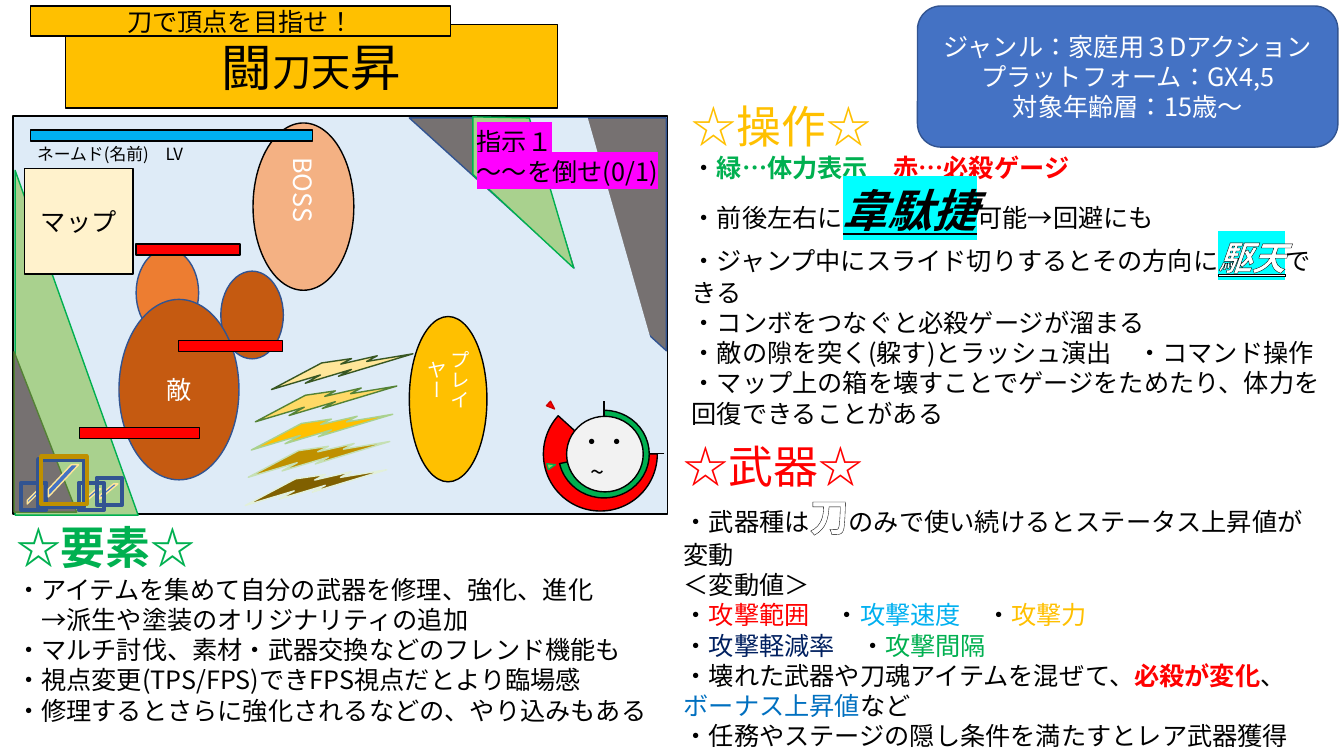
from lxml import etree
from pptx import Presentation
from pptx.dml.color import RGBColor as RGB
from pptx.enum.lang import MSO_LANGUAGE_ID as LANG
from pptx.enum.shapes import MSO_CONNECTOR as CONN, MSO_SHAPE as MS
from pptx.enum.text import MSO_ANCHOR as ANCHOR, MSO_AUTO_SIZE as AUTO, PP_ALIGN as ALIGN
from pptx.oxml.ns import qn
from pptx.util import Inches, Pt

C = dict(
    white="FFFFFF", black="000000", blue="4472C4", navy="325491", sky="DEEBF7",
    leaf="A9D18E", green="00B050", moss="548235", gray="767171", gold="FFC000",
    red="FF0000", darkred="CC0000", pale="F2F2F2", peach="F4B183", cyan="00B0F0",
    rust="C55A11", orange="ED7D31", lime="92D050", cream="FFF2CC", straw="FFE699",
    amber="FFD966", bronze="BF9000", umber="806000", pine="385723", mint="C5E0B4",
    fog="E2F0D9", deep="002060", azure="0070C0", aqua="00FFFF", magenta="FF00FF",
)
U = Inches(0.01)
SANS, HEAD = "Noto Sans CJK JP", "Roboto"

prs = Presentation()
prs.slide_width, prs.slide_height = 1333 * U, 750 * U
s = prs.slides.add_slide(prs.slide_layouts[4])


def write(tf, paras, align=ALIGN.LEFT, anchor=ANCHOR.TOP, vert=None, **base):
    tf.word_wrap, tf.auto_size, tf.vertical_anchor = True, AUTO.NONE, anchor
    if vert:
        tf._txBody.bodyPr.set("vert", vert)
    for i, runs in enumerate(paras):
        p = tf.add_paragraph() if i else tf.paragraphs[0]
        p.alignment, p.line_spacing = align, 1.0
        p.space_before = p.space_after = Pt(0)
        pPr = p._p.get_or_add_pPr()
        pPr.set("marL", "0")
        pPr.set("indent", "0")
        etree.SubElement(pPr, qn("a:buNone"))
        for run in [runs] if isinstance(runs, str) else runs:
            text, own = (run, {}) if isinstance(run, str) else run
            f = dict(size=18, color="black", font=SANS) | base | own
            r = p.add_run()
            r.text = text
            r.font.size, r.font.name = Pt(f["size"]), f["font"]
            r.font.language_id = LANG.JAPANESE
            r.font.bold, r.font.italic = f.get("bold", False), f.get("italic", False)
            r.font.underline = f.get("underline", False)
            r.font.color.rgb = RGB.from_string(C[f["color"]])
            rPr = r._r.get_or_add_rPr()
            latin = rPr.find(qn("a:latin"))
            ea = etree.Element(qn("a:ea"), typeface=SANS)
            latin.addnext(ea)
            if "mark" in f:
                mark = etree.Element(qn("a:highlight"))
                etree.SubElement(mark, qn("a:srgbClr"), val=C[f["mark"]])
                latin.addprevious(mark)
            if "outline" in f:
                ln = etree.Element(qn("a:ln"), w=str(Pt(0.75)))
                fill = etree.SubElement(ln, qn("a:solidFill"))
                etree.SubElement(fill, qn("a:srgbClr"), val=C[f["outline"]])
                rPr.insert(0, ln)


def paint(sp, fill, line, width=1):
    sp.shadow.inherit = False
    if fill:
        sp.fill.solid()
        sp.fill.fore_color.rgb = RGB.from_string(C[fill])
    else:
        sp.fill.background()
    if line:
        sp.line.color.rgb = RGB.from_string(C[line])
        sp.line.width = Pt(width)
    else:
        sp.line.fill.background()


title = s.shapes.title
title.left, title.top, title.width, title.height = (v * U for v in (65, 24, 488, 83))
paint(title, "gold", "black")
write(title.text_frame, [["闘", ("刀天", dict(size=28)), "昇"]],
      align=ALIGN.CENTER, anchor=ANCHOR.MIDDLE, size=36, font=HEAD)

dash = dict(bold=True, italic=True, underline=True, mark="aqua")
lists = {
    1: ((668, 430, 658, 323), [
        [("☆武器☆", dict(size=32, font=HEAD, color="red"))],
        ["・武器種は", ("刀", dict(size=28, color="white", bold=True, outline="black")),
         "のみで使い続けるとステータス上昇値が変動"],
        "＜変動値＞",
        ["・", ("攻撃範囲", dict(color="red")), "　・", ("攻撃速度", dict(color="cyan")),
         "　・", ("攻撃力　", dict(color="gold"))],
        ["・", ("攻撃軽減率", dict(color="deep")), "　・", ("攻撃間隔", dict(color="green"))],
        ["・壊れた武器や刀魂アイテムを混ぜて、", ("必殺が変化", dict(color="red", bold=True)),
         "、", ("ボーナス上昇値", dict(color="azure")), "など"],
        "・任務やステージの隠し条件を満たすとレア武器獲得",
    ]),
    2: ((676, 93, 651, 370), [
        [("☆操作☆", dict(size=32, font=HEAD, color="gold"))],
        ["・", ("緑…体力表示　", dict(color="green", bold=True)),
         ("赤…必殺ゲージ", dict(color="red", bold=True))],
        ["・前後左右に", ("韋駄捷", dash | dict(size=32)), "可能→回避にも"],
        ["・ジャンプ中にスライド切りするとその方向に",
         ("駆天", dash | dict(size=24, color="white", outline="black")), "できる"],
        "・コンボをつなぐと必殺ゲージが溜まる",
        "・敵の隙を突く(躱す)とラッシュ演出　・コマンド操作",
        "・マップ上の箱を壊すことでゲージをためたり、体力を回復できることがある",
    ]),
    4: ((6, 511, 650, 215), [
        [("☆要素☆", dict(size=32, font=HEAD, color="green", bold=True))],
        "・アイテムを集めて自分の武器を修理、強化、進化",
        "　→派生や塗装のオリジナリティの追加",
        "・マルチ討伐、素材・武器交換などのフレンド機能も",
        "・視点変更(TPS/FPS)できFPS視点だとより臨場感",
        "・修理するとさらに強化されるなどの、やり込みもある",
    ]),
}
for ph in list(s.placeholders)[1:]:
    idx = ph.placeholder_format.idx
    if idx not in lists:
        ph.element.getparent().remove(ph.element)
        continue
    box, paras = lists[idx]
    ph.left, ph.top, ph.width, ph.height = (v * U for v in box)
    write(ph.text_frame, paras)

white = dict(color="white")
upright = dict(color="white", vert="eaVert")
shapes = [
    (MS.ROUNDED_RECTANGLE, (910, 6, 417, 140), "blue", "navy", dict(
        text=["ジャンル：家庭用３Dアクション", "プラットフォーム：GX4,5", "対象年齢層：15歳～"], fmt=white)),
    (MS.RECTANGLE, (13, 115, 649, 395), "sky", "black", {}),
    (MS.RIGHT_TRIANGLE, (15, 169, 122, 342), "leaf", "green", {}),
    (MS.RIGHT_TRIANGLE, (14, 349, 62, 159), "gray", "moss", {}),
    (MS.RECTANGLE, (21, 479, 25, 27), None, "navy", dict(width=3)),
    (MS.OVAL, (406, 314, 77, 164), "gold", "black",
     dict(text=["プレイヤー"], fmt=upright | dict(size=14))),
    (MS.PIE, (539, 394, 113, 113), "red", "black", dict(adj=[215.86, 133.37])),
    (MS.PIE, (554, 407, 90, 87), "green", "black", dict(adj=[162.15, 100.73])),
    (MS.OVAL, (562, 413, 76, 75), "pale", "black", {}),
    (MS.OVAL, (251, 122, 100, 166), "peach", "black", dict(text=["BOSS"], fmt=upright)),
    (MS.RECTANGLE, (30, 129, 280, 11), "cyan", "black", {}),
    (MS.OVAL, (219, 269, 62, 87), "rust", "navy", {}),
    (MS.OVAL, (135, 247, 62, 87), "orange", "navy", {}),
    (MS.OVAL, (118, 297, 119, 179), "rust", "navy", dict(text=["敵"], fmt=white)),
    (MS.ISOSCELES_TRIANGLE, (544, 399, 6, 8), "red", "darkred", dict(rot=132.2)),
    (MS.ISOSCELES_TRIANGLE, (544, 458, 6, 8), "lime", "green", dict(rot=75.9)),
    (MS.RECTANGLE, (30, 6, 417, 30), "gold", "black", dict(text=["刀で頂点を目指せ！"], fmt={})),
    (MS.RECTANGLE, (24, 167, 108, 105), "cream", "black", dict(text=["マップ"], fmt={})),
    (MS.RIGHT_TRIANGLE, (406, 117, 255, 231), "gray", "navy", dict(rot=180)),
]
for x, y, w in [(79, 424, 119), (135, 242, 103), (177, 338, 103)]:
    shapes.append((MS.RECTANGLE, (x, y, w, 11), "red", "black", {}))

stripe = dict(adj=[0.76])
for box in [(82, 485, 18, 15), (99, 480, 18, 15), (27, 485, 15, 15)]:
    shapes.append((MS.DIAGONAL_STRIPE, box, "blue", "straw", stripe))
for box in [(38, 456, 45, 47), (78, 479, 25, 27), (96, 474, 25, 27)]:
    shapes.append((MS.RECTANGLE, box, None, "navy", dict(width=3)))
shapes += [
    (MS.DIAGONAL_STRIPE, (48, 461, 30, 32), "blue", "straw", stripe),
    (MS.RECTANGLE, (41, 453, 45, 47), None, "bronze", dict(width=3)),
]
for x, y, fill, line in [(267, 353, "straw", "pine"), (251, 385, "amber", "moss"),
                         (247, 413, "gold", "leaf"), (244, 440, "bronze", "mint"),
                         (241, 468, "umber", "fog")]:
    shapes.append((MS.LIGHTNING_BOLT, (x, y, 143, 27), fill, line, dict(rot=337)))

for kind, box, fill, line, opt in shapes:
    sp = s.shapes.add_shape(kind, *(v * U for v in box))
    paint(sp, fill, line, opt.get("width", 1))
    sp.rotation = opt.get("rot", 0)
    for i, adj in enumerate(opt.get("adj", [])):
        sp.adjustments[i] = adj
    if "text" in opt:
        write(sp.text_frame, opt["text"], align=ALIGN.CENTER, anchor=ANCHOR.MIDDLE, **opt["fmt"])

for ends in [(599, 398, 599, 413), (659, 450, 644, 450)]:
    tick = s.shapes.add_connector(CONN.STRAIGHT, *(v * U for v in ends))
    tick.line.color.rgb = RGB.from_string(C["black"])
    tick.line.width = Pt(1)
    etree.SubElement(tick.element.spPr, qn("a:effectLst"))

for points, fill, line in [
    ([(647, 342), (583, 117), (524, 117), (589, 327)], "sky", None),
    ([(569, 266), (525, 117), (469, 116), (469, 173)], "leaf", "green"),
]:
    fb = s.shapes.build_freeform(*points[0], scale=U)
    fb.add_line_segments(points[1:], close=True)
    paint(fb.convert_to_shape(), fill, line)

for box, paras, fmt in [
    ((565, 418, 71, 71), ["・・", "~"], {}),
    ((27, 138, 186, 30), ["ネームド(名前)　LV"], dict(size=12)),
    ((463, 120, 227, 71), ["指示１", "～～を倒せ(0/1)"], dict(mark="magenta")),
]:
    tb = s.shapes.add_textbox(*(v * U for v in box))
    write(tb.text_frame, paras, **fmt)
    if "~" in paras:
        tb.text_frame.paragraphs[1]._p.pPr.set("marL", str(Pt(8)))

prs.save("out.pptx")
